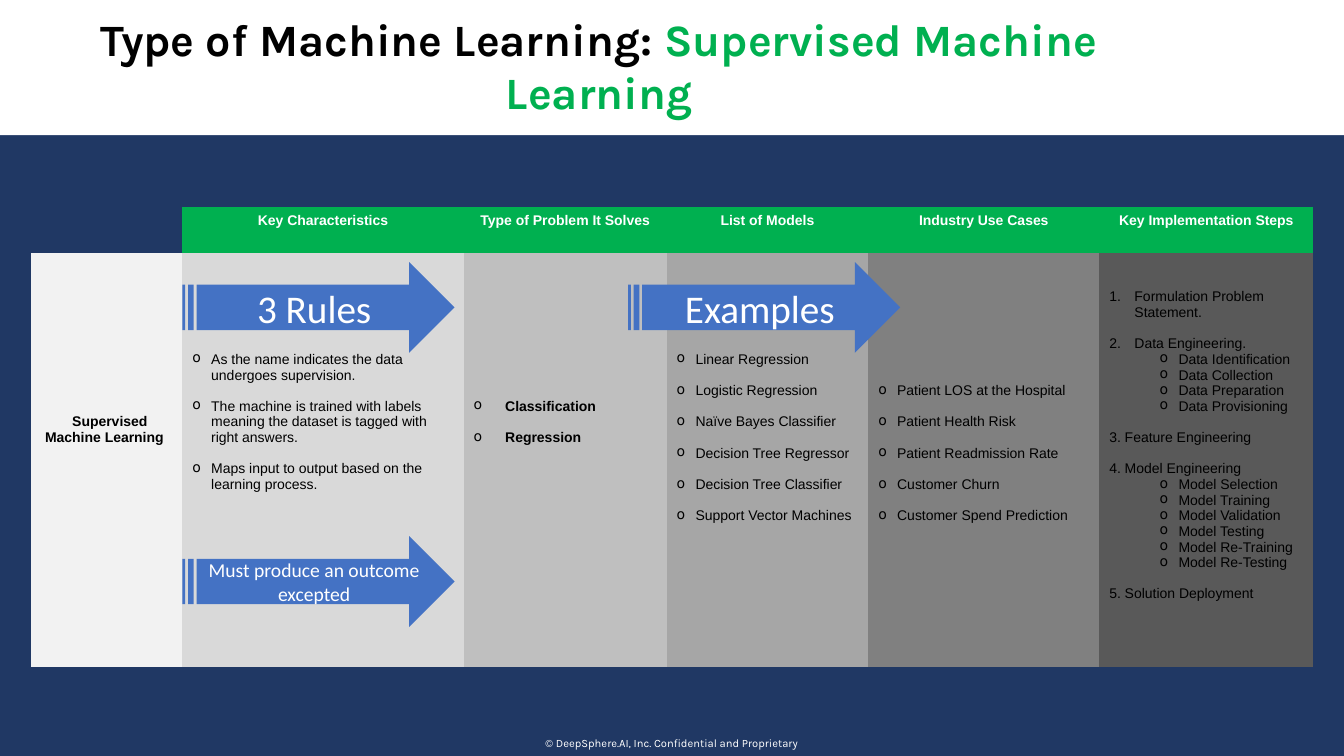
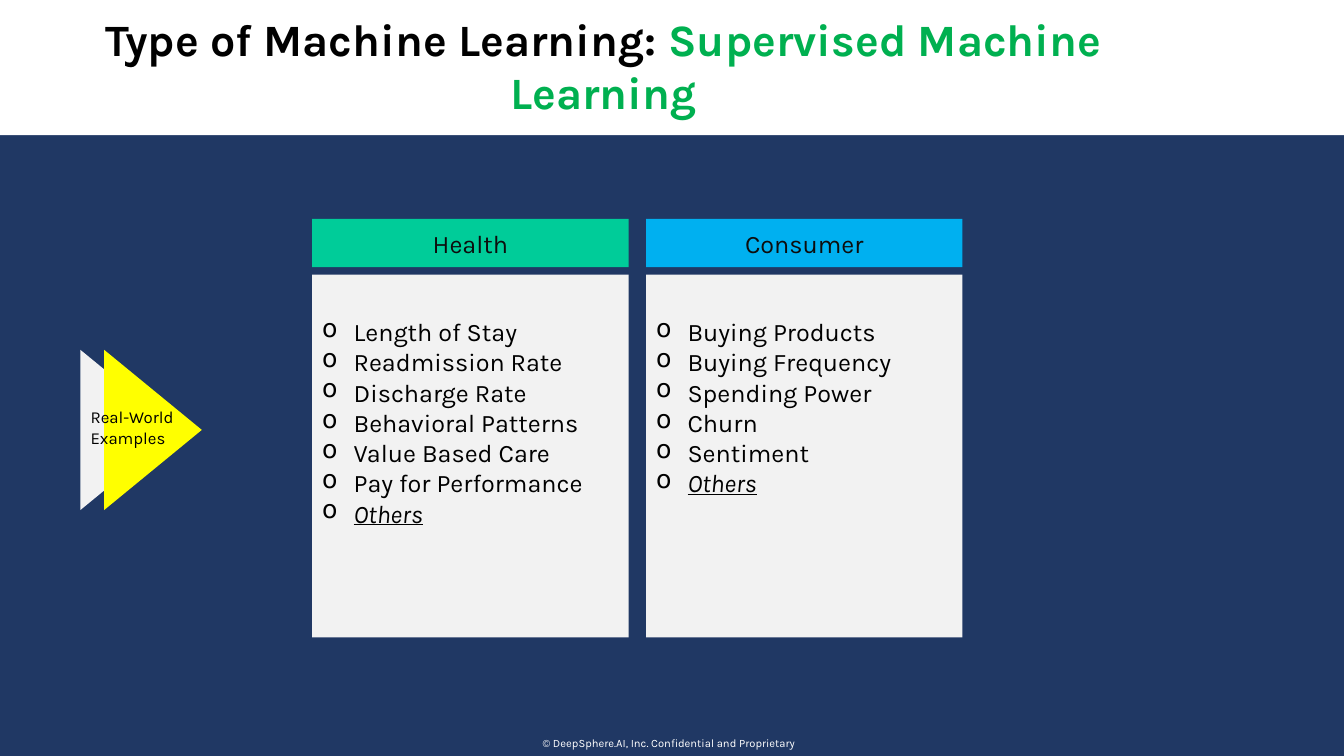
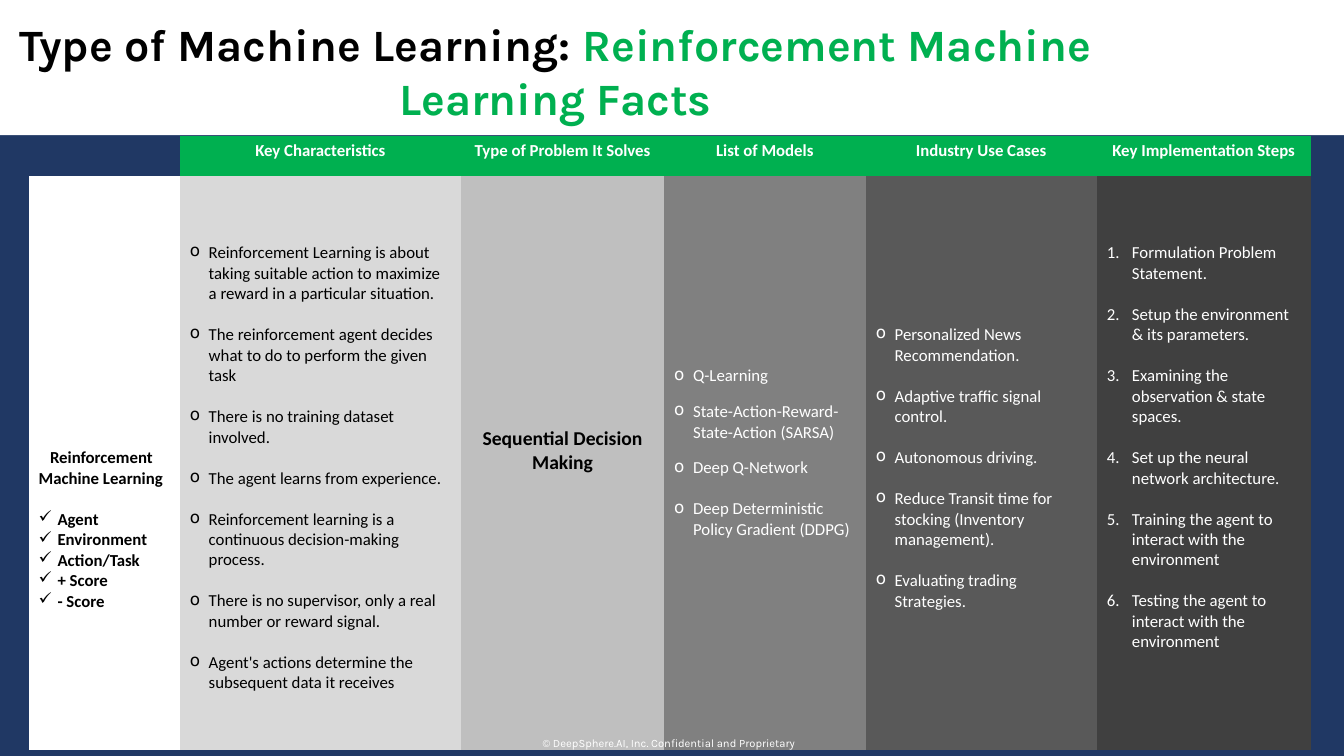
"""Build three slides on supervised and reinforcement machine learning."""
from dataclasses import dataclass
from itertools import product

from lxml.etree import SubElement
from pptx import Presentation
from pptx.dml.color import RGBColor
from pptx.enum.shapes import MSO_SHAPE as Shape
from pptx.enum.text import PP_ALIGN as Align
from pptx.oxml.ns import qn
from pptx.util import Pt


@dataclass(frozen=True)
class Theme:
    """Colours, fonts and type sizes shared by the slides."""
    navy: str = "203864"
    white: str = "FFFFFF"
    black: str = "000000"
    ink: str = "0D0D0D"
    green: str = "00B050"
    mint: str = "00CC99"
    sky: str = "00B0F0"
    blue: str = "4472C4"
    yellow: str = "FFFF00"
    pale: str = "F2F2F2"
    grays: tuple = ("D9D9D9", "BFBFBF", "A6A6A6", "808080", "595959", "404040")
    display: str = "Karla"
    body: str = "Calibri"
    title_size: int = 32
    banner_size: int = 28
    card_size: int = 18
    note_size: int = 14
    label_size: int = 12
    footer_size: int = 8
    no_grid: str = "{2D5ABB26-0587-4C30-8999-92F81FD0307C}"


THEME = Theme()
WIDTH, HEIGHT, BAND = 960, 540, 96.5
INSET = 3.6
COLUMNS = (108, 201, 145, 144, 165, 153)
HEADINGS = ("Key Characteristics", "Type of Problem It Solves", "List of Models",
            "Industry Use Cases", "Key Implementation Steps")


@dataclass(frozen=True)
class Style:
    """Look of a run of text."""
    size: float
    font: str = THEME.display
    color: str = THEME.black
    bold: bool = False
    emphasis: bool = False


@dataclass(frozen=True)
class Line:
    """One paragraph, with its gap counted in text lines."""
    text: str
    bullet: str = ""
    indent: float = 0
    hang: float = 0
    gap: float = 0
    level: int = 0
    align: Align = Align.LEFT
    size: float = 0
    emphasis: bool = False


@dataclass(frozen=True)
class Cell:
    """One body cell, with its text starting some lines down."""
    fill: str
    skip: int
    lines: list
    color: str = THEME.black
    bold: bool = False


@dataclass(frozen=True)
class Grid:
    """Place, row heights and lettering of a table."""
    left: float
    top: float
    rows: tuple
    font: str
    size: float
    pitch: float


def listing(texts, bullet="o", indent=13.5, gap=1.0, level=0):
    """Return bulleted lines with equal gaps."""
    hang = 13.5 if level else indent
    return [Line(text, bullet, indent, hang, gap, level) for text in texts]


def sublist(*texts):
    """Return second-level bulleted lines."""
    return listing(texts, indent=49.5, gap=0, level=1)


def add_span(para, text, style):
    """Add one styled run."""
    span = para.add_run()
    span.text = text
    font = span.font
    font.name, font.size, font.bold = style.font, Pt(style.size), style.bold
    font.color.rgb = RGBColor.from_string(style.color)
    if style.emphasis:
        font.italic = font.underline = True


def set_bullet(para, line):
    """Set indents and the bullet or number of a paragraph."""
    props = para._p.get_or_add_pPr()
    props.set("marL", str(Pt(line.indent)))
    props.set("indent", str(-Pt(line.hang)))
    if line.bullet == "1.":
        SubElement(props, qn("a:buAutoNum")).set("type", "arabicPeriod")
    elif line.bullet:
        SubElement(props, qn("a:buChar")).set("char", line.bullet)


def write_lines(frame, lines, style, pitch=0):
    """Fill a text frame with lines."""
    for index, line in enumerate(lines):
        para = frame.add_paragraph() if index else frame.paragraphs[0]
        set_bullet(para, line)
        para.level, para.alignment = line.level, line.align
        if index and line.gap:
            para.space_before = Pt(round(line.gap * pitch, 2))
        add_span(para, line.text, Style(line.size or style.size, style.font, style.color,
                                        style.bold, line.emphasis))


def add_box(page, left, top, width, height):
    """Add a wrapping text box and return its frame."""
    box = page.shapes.add_textbox(Pt(left), Pt(top), Pt(width), Pt(height))
    box.text_frame.word_wrap = True
    return box.text_frame


def add_block(page, kind, left, top, width, height, fill, text="", style=None, turn=0):
    """Add a flat filled shape, with centred text if given."""
    block = page.shapes.add_shape(kind, Pt(left), Pt(top), Pt(width), Pt(height))
    block.shadow.inherit = False
    block.fill.solid()
    block.fill.fore_color.rgb = RGBColor.from_string(fill)
    block.line.fill.background()
    block.rotation = turn
    if text:
        write_lines(block.text_frame, [Line(text, align=Align.CENTER)], style)


def add_arrow(page, left, top, text, size):
    """Add a striped arrow banner."""
    add_block(page, Shape.STRIPED_RIGHT_ARROW, left, top, 194.4, 64.8, THEME.blue, text,
              Style(size, THEME.body, THEME.white))


def fill_cell(target, cell, grid):
    """Fill and letter one table cell."""
    target.fill.solid()
    target.fill.fore_color.rgb = RGBColor.from_string(cell.fill)
    target.margin_top = Pt(round(INSET + cell.skip * grid.pitch, 2))
    write_lines(target.text_frame, cell.lines,
                Style(grid.size, grid.font, cell.color, cell.bold), grid.pitch)


def add_facts(page, grid, cells):
    """Add the fact table: green headings above one row of cells."""
    table = page.shapes.add_table(2, len(COLUMNS), Pt(grid.left), Pt(grid.top),
                                  Pt(sum(COLUMNS)), Pt(sum(grid.rows))).table
    table.first_row = table.horz_banding = False
    table._tbl.tblPr.find(qn("a:tableStyleId")).text = THEME.no_grid
    for column, width in zip(table.columns, COLUMNS):
        column.width = Pt(width)
    for row, height in zip(table.rows, grid.rows):
        row.height = Pt(height)
    table.cell(0, 0).fill.background()
    for index, heading in enumerate(HEADINGS, 1):
        line = Line(heading, align=Align.CENTER)
        fill_cell(table.cell(0, index), Cell(THEME.green, 0, [line], THEME.white, True), grid)
    for index, cell in enumerate(cells):
        fill_cell(table.cell(1, index), cell, grid)


def add_card(page, left, heading, color, items):
    """Add a headed card with a bulleted list."""
    style = Style(THEME.card_size)
    add_block(page, Shape.RECTANGLE, left, 156.4, 226, 34.4, color, heading,
              Style(THEME.card_size, color=THEME.ink))
    add_block(page, Shape.RECTANGLE, left, 196.2, 226, 259, THEME.pale)
    last = Line("Others", "o", 22.5, 22.5, emphasis=True)
    lines = [*listing(items, indent=22.5, gap=0), last]
    write_lines(add_box(page, left, 222.5, 226, 21.6 * len(lines) + 2 * INSET), lines, style)


def add_frame(page, subject, top=4.5, title_width=856, footer_width=956):
    """Add the title band, the two-colour title and the footer."""
    add_block(page, Shape.RECTANGLE, 0, 0, WIDTH, BAND, THEME.white)
    title = add_box(page, 0, top, title_width, 85).paragraphs[0]
    title.alignment = Align.CENTER
    for text, color in (("Type of Machine Learning: ", THEME.black), (subject, THEME.green)):
        add_span(title, text, Style(THEME.title_size, color=color, bold=True))
    footer = Line("© DeepSphere.AI, Inc. Confidential and Proprietary", align=Align.CENTER)
    write_lines(add_box(page, 0, 522.7, footer_width, 17.3), [footer],
                Style(THEME.footer_size, color=THEME.white))


def build_supervised(page):
    """Build the supervised learning fact slide."""
    grays = THEME.grays
    steps = [
        *listing(("Formulation Problem Statement.", "Data Engineering."), "1.", 18),
        *sublist("Data Identification", "Data Collection", "Data Preparation",
                 "Data Provisioning"),
        Line("3. Feature Engineering", gap=1),
        Line("4. Model Engineering", gap=1),
        *sublist("Model Selection", "Model Training", "Model Validation", "Model Testing",
                 "Model Re-Training", "Model Re-Testing"),
        Line("5. Solution Deployment", gap=1),
    ]
    cells = [
        Cell(THEME.pale, 10, [Line("Supervised", indent=22.2),
                              Line("Machine Learning", indent=2.8)], bold=True),
        Cell(grays[0], 6, listing((
            "As the name indicates the data undergoes supervision.",
            "The machine is trained with labels meaning the dataset is tagged with "
            "right answers.",
            "Maps input to output based on the learning process."))),
        Cell(grays[1], 9, listing(("Classification", "Regression"), indent=22.5), bold=True),
        Cell(grays[2], 6, listing((
            "Linear Regression", "Logistic Regression", "Naïve Bayes Classifier",
            "Decision Tree Regressor", "Decision Tree Classifier",
            "Support Vector Machines"))),
        Cell(grays[3], 8, listing((
            "Patient LOS at the Hospital", "Patient Health Risk", "Patient Readmission Rate",
            "Customer Churn", "Customer Spend Prediction"))),
        Cell(grays[4], 2, steps),
    ]
    add_facts(page, Grid(22.2, 148.2, (32.5, 295.5), "Arial", 10, 11.17), cells)
    add_frame(page, "Supervised Machine Learning", footer_width=WIDTH)
    add_arrow(page, 130.3, 187.2, "3 Rules", THEME.banner_size)
    add_arrow(page, 448.6, 187.2, "Examples", THEME.banner_size)
    add_arrow(page, 130.3, 383, "Must produce an outcome excepted", THEME.note_size)


def build_examples(page):
    """Build the real-world examples slide."""
    cards = (
        ("Health", THEME.mint, ("Length of Stay", "Readmission Rate", "Discharge Rate",
                                "Behavioral Patterns", "Value Based Care",
                                "Pay for Performance")),
        ("Consumer", THEME.sky, ("Buying Products", "Buying Frequency", "Spending Power",
                                 "Churn", "Sentiment")),
    )
    for index, card in enumerate(cards):
        add_card(page, 223 + index * 238.5, *card)
    for left, color in ((35, THEME.pale), (52, THEME.yellow)):
        add_block(page, Shape.ISOSCELES_TRIANGLE, left, 272.2, 114.5, 69.8, color, turn=90)
    write_lines(add_box(page, 57.6, 287.3, 86.4, 36), [Line("Real-World Examples")],
                Style(THEME.label_size))
    add_frame(page, "Supervised Machine Learning", title_width=862)


def build_reinforcement(page):
    """Build the reinforcement learning fact slide."""
    grays, white = THEME.grays, THEME.white
    signals = listing(("Agent", "Environment", "Action/Task", "+ Score", "- Score"), "✓", gap=0)
    models = [
        *listing(("Q-Learning", "State-Action-Reward-State-Action (SARSA)",
                  "Deep Q-Network"), gap=0.75),
        *listing(("Deep Deterministic Policy Gradient (DDPG)",)),
    ]
    signals[:1] = listing(("Agent",), "✓")
    cells = [
        Cell(white, 13, [Line("Reinforcement", indent=8.1), Line("Machine Learning"),
                         *signals], bold=True),
        Cell(grays[0], 3, listing((
            "Reinforcement Learning is about taking suitable action to maximize a reward "
            "in a particular situation.",
            "The reinforcement agent decides what to do to perform the given task",
            "There is no training dataset involved.",
            "The agent learns from experience.",
            "Reinforcement learning is a continuous decision-making process.",
            "There is no supervisor, only a real number or reward signal.",
            "Agent's actions determine the subsequent data it receives"))),
        Cell(grays[1], 12, [Line("Sequential Decision Making", align=Align.CENTER,
                                 size=THEME.note_size)], bold=True),
        Cell(grays[3], 9, models, white),
        Cell(grays[4], 7, listing((
            "Personalized News Recommendation.", "Adaptive traffic signal control.",
            "Autonomous driving.",
            "Reduce Transit time for stocking (Inventory management).",
            "Evaluating trading Strategies.")), white),
        Cell(grays[5], 3, listing((
            "Formulation Problem Statement.", "Setup the environment & its parameters.",
            "Examining the observation & state spaces.",
            "Set up the neural network architecture.",
            "Training the agent to interact with the environment",
            "Testing the agent to interact with the environment"), "1.", 18), white),
    ]
    add_facts(page, Grid(20.4, 97, (22, 410), THEME.body, 12, 14.65), cells)
    add_frame(page, "Reinforcement Machine Learning Facts", 8.7, 793.5)


def main():
    """Build and save the deck."""
    deck = Presentation()
    deck.slide_width, deck.slide_height = Pt(WIDTH), Pt(HEIGHT)
    backdrop = deck.slide_master.background.fill
    backdrop.solid()
    backdrop.fore_color.rgb = RGBColor.from_string(THEME.navy)
    blank = deck.slide_layouts[6]
    for build in (build_supervised, build_examples, build_reinforcement):
        build(deck.slides.add_slide(blank))
    deck.save("out.pptx")


if __name__ == "__main__":
    main()
